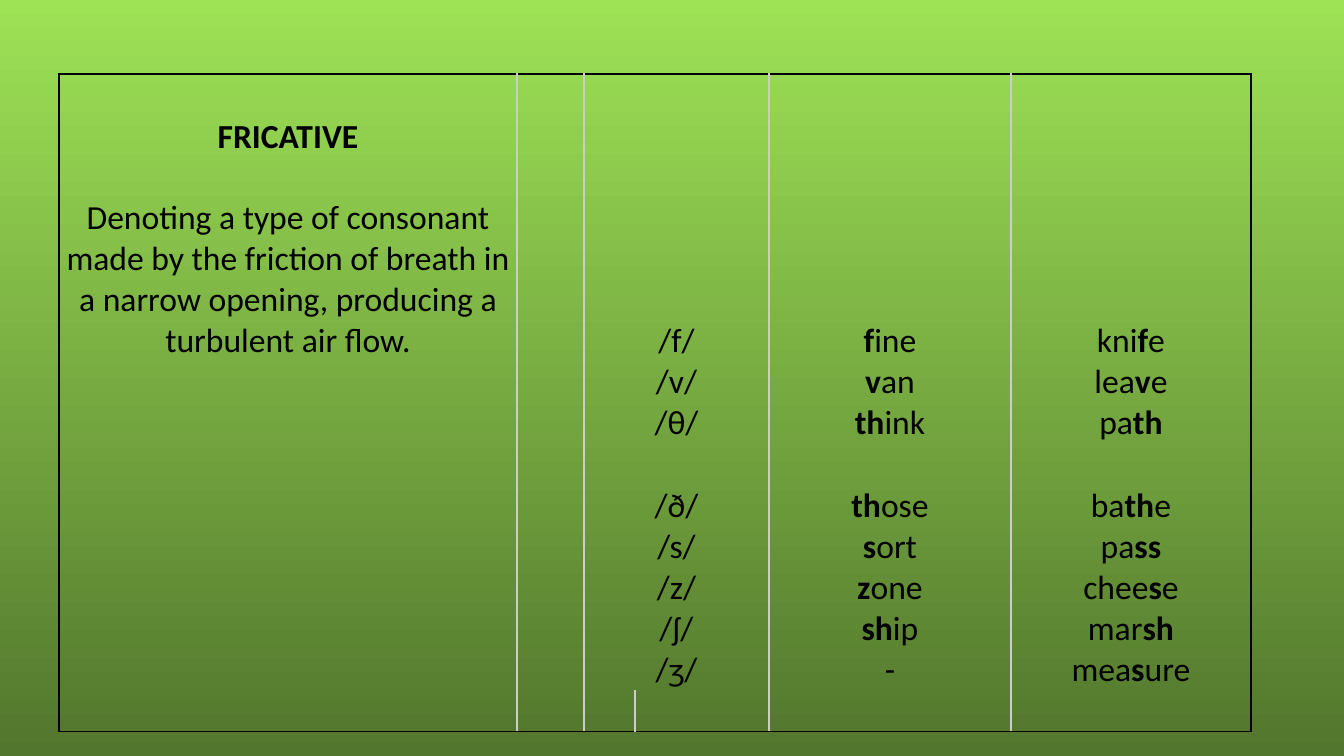
from lxml.etree import SubElement
from pptx import Presentation
from pptx.dml.color import RGBColor
from pptx.enum.text import MSO_ANCHOR as Anchor, PP_ALIGN as Align
from pptx.oxml import parse_xml
from pptx.oxml.ns import nsdecls, qn
from pptx.util import Emu, Pt

PX = 9071  # EMU in one px
COLORS = {"sky": "9EE256", "grass": "52762D", "text": "000000",
          "frame": "00000A", "divider": "CCCCCC"}
COLUMN_WIDTHS = [458, 67, 51, 134, 242, 240]
ROW_HEIGHTS = [288] + [41] * 9
DEFINITION = ("Denoting a type of consonant made by the friction of breath in "
              "a narrow opening, producing a turbulent air flow.")
# Row: sound, word beginning with it, word containing it later
SOUNDS = {
    0: ("/f/", "*f*ine", "kni*f*e"),
    1: ("/v/", "*v*an", "lea*v*e"),
    2: ("/θ/", "*th*ink", "pa*th*"),
    4: ("/ð/", "*th*ose", "ba*th*e"),
    5: ("/s/", "*s*ort", "pa*ss*"),
    6: ("/z/", "*z*one", "chee*s*e"),
    7: ("/ʃ/", "*sh*ip", "mar*sh*"),
    8: ("/ʒ/", "-", "mea*s*ure"),
}
SOUND_COLUMNS = (2, 4, 5)


def px(length):
    return Emu(length * PX)


def rgb(name):
    return RGBColor.from_string(COLORS[name])


def paint_background(page):
    fill = page.background.fill
    fill.gradient()
    fill.gradient_angle = 270
    for stop, name in zip(fill.gradient_stops, ("sky", "grass")):
        stop.color.rgb = rgb(name)


def set_borders(cell, sides):
    """Draw left, right, top and bottom borders; None leaves a side bare."""
    properties = cell._tc.get_or_add_tcPr()
    for index, (side, name) in enumerate(zip("LRTB", sides)):
        line = parse_xml(f'<a:ln{side} {nsdecls("a")} w="12700"/>')
        if name:
            solid = SubElement(line, qn("a:solidFill"))
            SubElement(solid, qn("a:srgbClr"), val=COLORS[name])
        else:
            SubElement(line, qn("a:noFill"))
        properties.insert(index, line)


def style_cell(cell, row, column):
    cell.margin_left = cell.margin_right = 0
    cell.margin_top = cell.margin_bottom = 0
    cell.vertical_anchor = Anchor.BOTTOM
    cell.fill.background()
    last_row, last_column = len(ROW_HEIGHTS) - 1, len(COLUMN_WIDTHS) - 1
    merged = row < last_row
    left = "frame" if column == 0 else "divider"
    right = "frame" if column == last_column else "divider"
    set_borders(cell, (
        None if merged and column == 3 else left,
        None if merged and column == 2 else right,
        "frame" if row == 0 else None,
        "frame" if row == last_row else None))


def write(para, text):
    """Fill a centred paragraph; parts between asterisks are bold."""
    para.alignment = Align.CENTER
    para.font.name = "Calibri"
    para.font.size = Pt(24)
    para.font.color.rgb = rgb("text")
    for index, part in enumerate(text.split("*")):
        if part:
            span = para.add_run()
            span.text = part
            span.font.bold = index % 2 == 1


def add_sound_table(page):
    frame = page.shapes.add_table(
        len(ROW_HEIGHTS), len(COLUMN_WIDTHS), px(59), px(74),
        px(sum(COLUMN_WIDTHS)), px(sum(ROW_HEIGHTS)))
    table = frame.table
    table.first_row = table.horz_banding = False
    for column, width in zip(table.columns, COLUMN_WIDTHS):
        column.width = px(width)
    for row, height in enumerate(ROW_HEIGHTS):
        table.rows[row].height = px(height)
        for column in range(len(COLUMN_WIDTHS)):
            style_cell(table.cell(row, column), row, column)
        if row < len(ROW_HEIGHTS) - 1:
            table.cell(row, 2).merge(table.cell(row, 3))
    return table


def main():
    deck = Presentation()
    deck.slide_width, deck.slide_height = px(1344), px(756)
    page = deck.slides.add_slide(deck.slide_layouts[6])
    paint_background(page)

    table = add_sound_table(page)
    definition = table.cell(0, 0).text_frame
    heading = definition.paragraphs[0]
    write(heading, "*FRICATIVE*")
    heading.space_after = Pt(29)
    write(definition.add_paragraph(), DEFINITION)
    for row, texts in SOUNDS.items():
        for column, text in zip(SOUND_COLUMNS, texts):
            write(table.cell(row, column).text_frame.paragraphs[0], text)

    deck.save("out.pptx")


if __name__ == "__main__":
    main()
